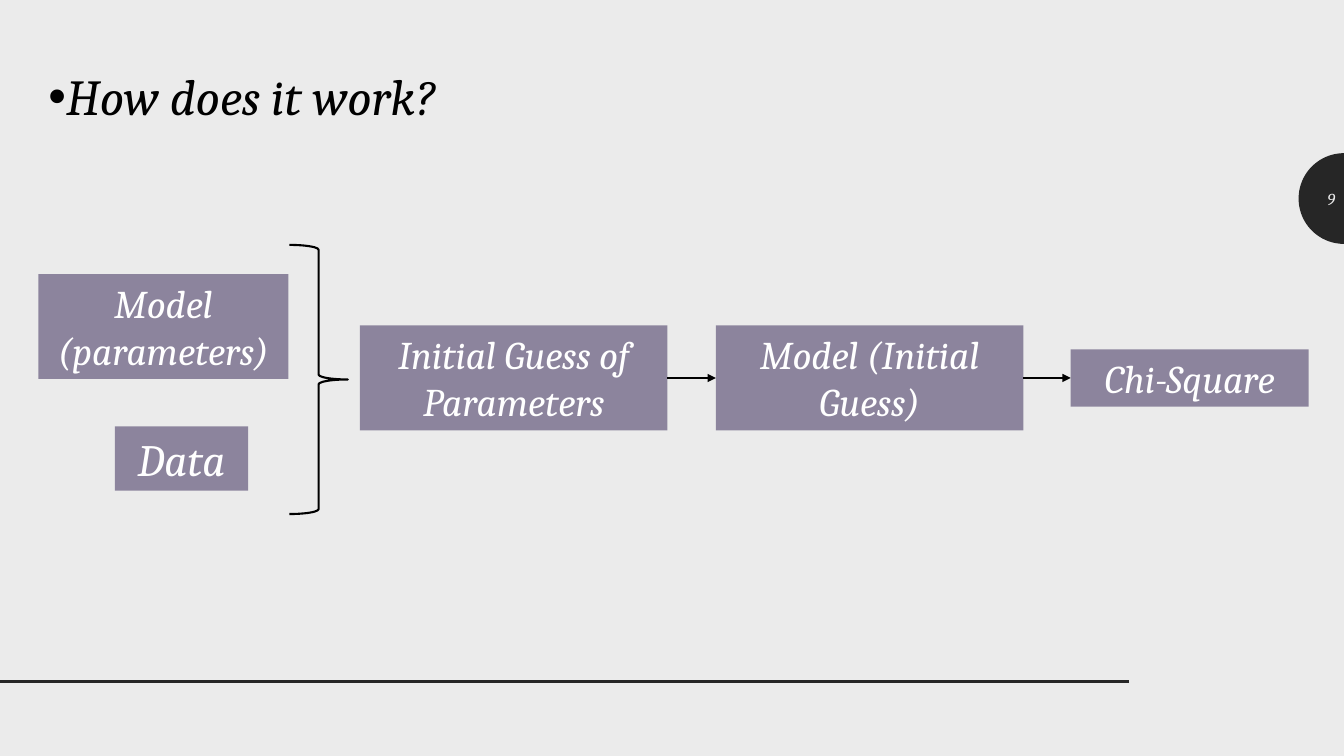
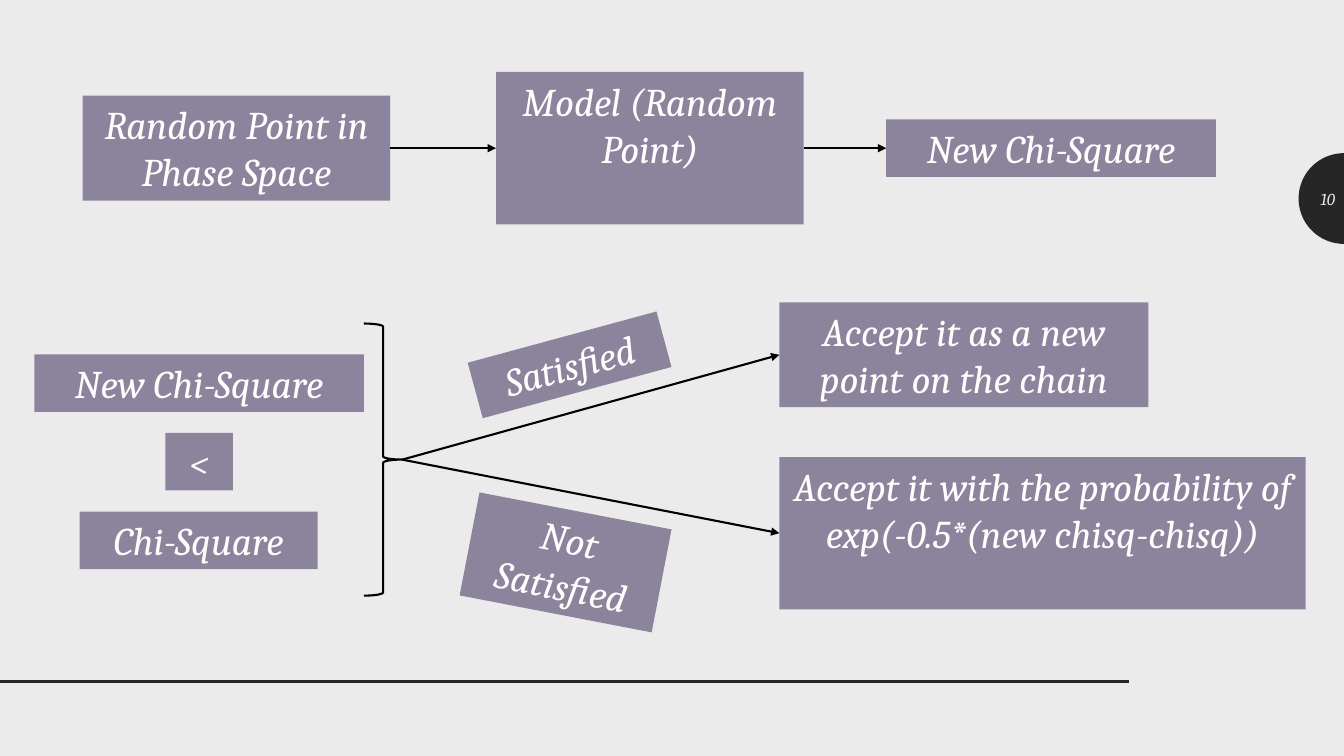
import math

from lxml import etree
from pptx import Presentation
from pptx import util as u
from pptx.dml.color import RGBColor
from pptx.enum import shapes, text
from pptx.oxml.ns import qn

# Shared look
BACKGROUND = RGBColor(0xEB, 0xEB, 0xEB)
DARK = RGBColor(0x26, 0x26, 0x26)
PURPLE = RGBColor(0x2F, 0x1F, 0x50)
BLACK = RGBColor(0x00, 0x00, 0x00)
WHITE = RGBColor(0xFF, 0xFF, 0xFF)
FONT = {"name": "Cambria", "italic": True}
FRAME = {"word_wrap": True, "auto_size": text.MSO_AUTO_SIZE.NONE}
BOX_SIZE = 28
BADGE_X, BADGE_Y, BADGE_RADIUS = 13.33, 1.97, 0.45

# Boxes: name -> (text, left, middle, width, lines[, size[, rotation]])
# Arrows: (box name or starting point, box name)
SLIDES = [
    {
        "number": "9",
        "title": "How does it work?",
        "boxes": {
            "model": ("Model (parameters)", 0.38, 3.24, 2.48, 2),
            "data": ("Data", 1.14, 4.55, 1.32, 1, 32),
            "guess": ("Initial Guess of Parameters", 3.57, 3.75, 3.05, 2),
            "guess model": ("Model (Initial Guess)", 7.1, 3.75, 3.05, 2),
            "chi-square": ("Chi-Square", 10.62, 3.75, 2.36, 1),
        },
        "brace": (2.87, 2.43, 0.58, 2.67),
        "arrows": [("guess", "guess model"), ("guess model", "chi-square")],
    },
    {
        "number": "10",
        "title": None,
        "boxes": {
            "point": ("Random Point in Phase Space", 0.82, 1.47, 3.05, 2),
            "point model": ("Model (Random Point)", 4.92, 1.47, 3.05, 3),
            "result": ("New Chi-Square", 8.79, 1.47, 3.27, 1),
            "new": ("New Chi-Square", 0.34, 3.8, 3.27, 1),
            "less than": ("<", 1.64, 4.58, 0.67, 1),
            "old": ("Chi-Square", 0.79, 5.36, 2.36, 1),
            "accept": ("Accept it as a new point on the chain", 7.73, 3.52, 3.66, 2),
            "probability": ("Accept it with the probability of\nexp(-0.5*(new chisq-chisq))",
                            7.73, 5.29, 5.22, 3),
            "yes": ("Satisfied", 4.68, 3.62, 1.94, 1, BOX_SIZE, -15.2),
            "no": ("Not Satisfied", 4.64, 5.58, 1.94, 2, BOX_SIZE, 10.9),
        },
        "brace": (3.61, 3.21, 0.38, 2.7),
        "arrows": [("point", "point model"), ("point model", "result"),
                   ((3.99, 4.56), "accept"), ((3.99, 4.56), "probability")],
    },
]


def write_text(shape, content, size, color, alignment, anchor=text.MSO_ANCHOR.TOP):
    frame = shape.text_frame
    frame.text = content
    for name, value in {**FRAME, "vertical_anchor": anchor}.items():
        setattr(frame, name, value)
    for paragraph in frame.paragraphs:
        paragraph.alignment = alignment
        for run in paragraph.runs:
            for name, value in {**FONT, "size": u.Pt(size)}.items():
                setattr(run.font, name, value)
            run.font.color.rgb = color


def add_line(slide, start, end, color, width):
    points = [u.Inches(value) for value in (*start, *end)]
    line = slide.shapes.add_connector(shapes.MSO_CONNECTOR.STRAIGHT, *points)
    line.line.color.rgb = color
    line.line.width = u.Pt(width)
    etree.SubElement(line.element.spPr, qn("a:effectLst"))
    return line


presentation = Presentation()
presentation.slide_width = u.Inches(13.33)
presentation.slide_height = u.Inches(7.5)
master_fill = presentation.slide_master.background.fill
master_fill.solid()
master_fill.fore_color.rgb = BACKGROUND

for content in SLIDES:
    layout = presentation.slide_layouts[5 if content["title"] else 6]
    slide = presentation.slides.add_slide(layout)

    # Half-round badge, slide number and bottom rule
    arc = [(u.Inches(BADGE_X - BADGE_RADIUS * math.sin(math.radians(angle))),
            u.Inches(BADGE_Y - BADGE_RADIUS * math.cos(math.radians(angle))))
           for angle in range(0, 181, 4)]
    builder = slide.shapes.build_freeform(*arc[0])
    builder.add_line_segments(arc[1:], close=True)
    badge = builder.convert_to_shape()
    badge.shadow.inherit = False
    badge.fill.solid()
    badge.fill.fore_color.rgb = DARK
    badge.line.fill.background()
    number = slide.shapes.add_textbox(
        *[u.Inches(value) for value in (12.89, 1.77, 0.45, 0.4)])
    write_text(number, content["number"], 12, BACKGROUND,
               text.PP_ALIGN.RIGHT, text.MSO_ANCHOR.MIDDLE)
    add_line(slide, (11.2, 6.76), (0, 6.76), DARK, 2)

    # Bulleted title
    if content["title"]:
        title = slide.shapes.title
        place = {"left": 0.38, "top": 0.6, "width": 11.64, "height": 0.71}
        for name, value in place.items():
            setattr(title, name, u.Inches(value))
        write_text(title, content["title"], 36, BLACK, text.PP_ALIGN.LEFT)
        properties = title.text_frame.paragraphs[0]._p.get_or_add_pPr()
        properties.set("marL", "0")
        properties.set("indent", "0")
        etree.SubElement(properties, qn("a:buFont"), typeface="Arial")
        etree.SubElement(properties, qn("a:buChar"), char="•")

    # Boxes, as tall as their number of lines
    boxes = {}
    for key, (label, left, middle, width, lines, *extra) in content["boxes"].items():
        size, rotation = (*extra, *(BOX_SIZE, 0)[len(extra):])
        height = 0.1 + lines * size * 0.0168
        box = slide.shapes.add_shape(
            shapes.MSO_SHAPE.RECTANGLE,
            *[u.Inches(value) for value in (left, middle - height / 2, width, height)])
        box.rotation = rotation
        box.shadow.inherit = False
        box.fill.solid()
        box.fill.fore_color.rgb = PURPLE
        solid = box.element.spPr.find(qn("a:solidFill"))
        etree.SubElement(solid[0], qn("a:alpha"), val="50000")
        box.line.fill.background()
        write_text(box, label, size, WHITE, text.PP_ALIGN.CENTER)
        boxes[key] = box

    # Brace
    brace = slide.shapes.add_shape(
        shapes.MSO_SHAPE.RIGHT_BRACE, *[u.Inches(value) for value in content["brace"]])
    brace.shadow.inherit = False
    brace.fill.background()
    brace.line.color.rgb = BLACK
    brace.line.width = u.Pt(1.5)

    # Arrows, from a box's right side or a point to a box's left side
    for source, target in content["arrows"]:
        from_box = source in boxes
        arrow = add_line(slide, (0, 0) if from_box else source, (0, 0), BLACK, 1.5)
        if from_box:
            arrow.begin_connect(boxes[source], 3)
        arrow.end_connect(boxes[target], 1)
        etree.SubElement(arrow.line._get_or_add_ln(), qn("a:tailEnd"), type="triangle")

presentation.save("out.pptx")
